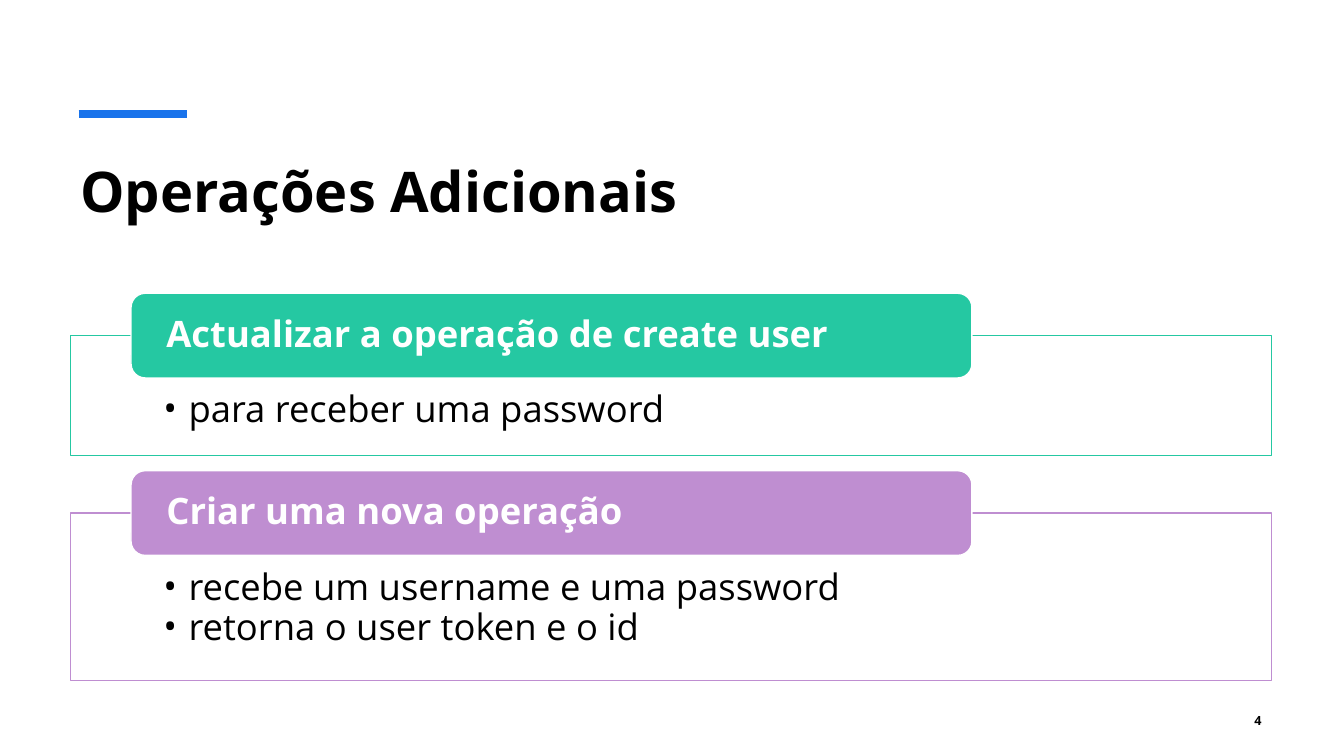
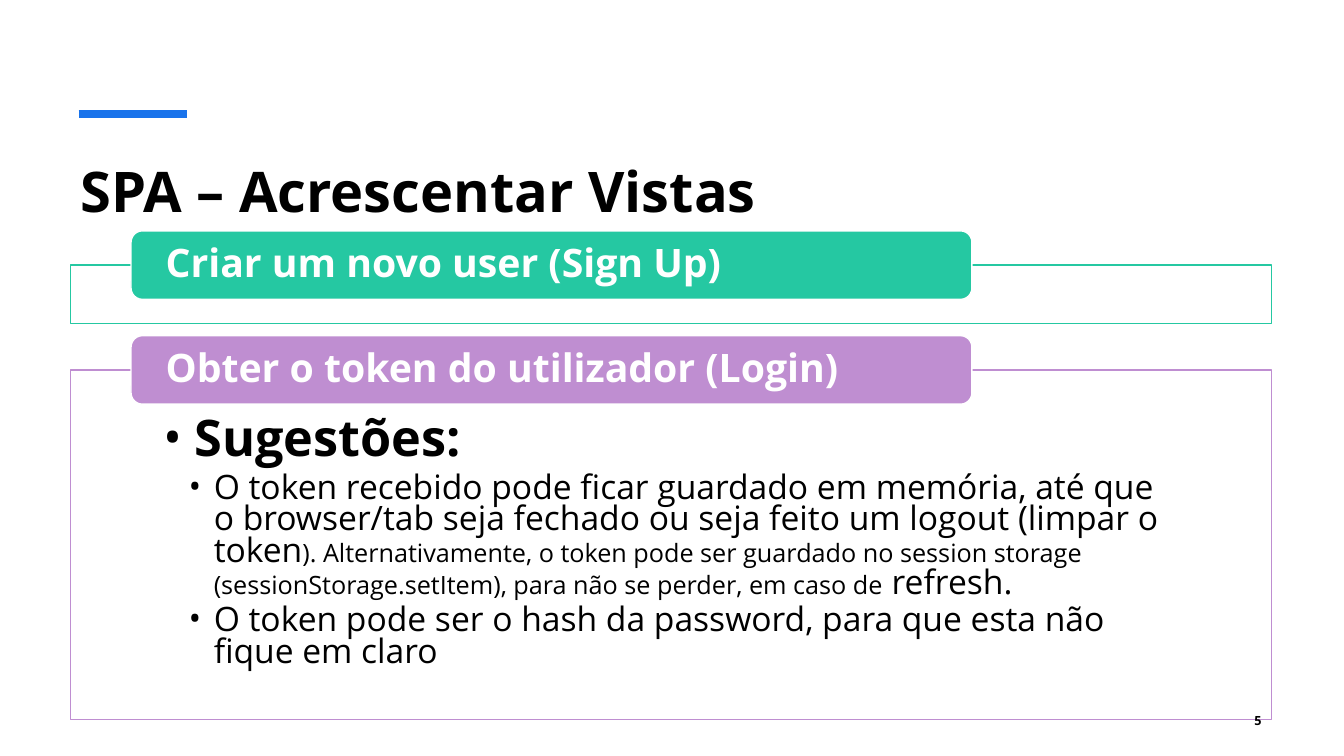
from pptx import Presentation
from pptx.dml.color import RGBColor
from pptx.enum.shapes import MSO_CONNECTOR as Connector, MSO_SHAPE as Preset
from pptx.enum.text import MSO_ANCHOR as Anchor, PP_ALIGN as Align
from pptx.oxml.ns import qn
from pptx.oxml.xmlchemy import OxmlElement
from pptx.util import Inches, Pt

FONT = "Open Sans"
COLOURS = {
    "accent": "1973EB",
    "green": "25C8A2",
    "purple": "BF8ED1",
    "text": "000000",
    "white": "FFFFFF",
}
MARGIN, CONTENT_WIDTH = 0.7, 11.91
HEADER_LEFT, HEADER_WIDTH = 1.3, 8.34
HEADER_SPACING, BULLET_SPACING = 0.9, 0.79


def colour(name):
    return RGBColor.from_string(COLOURS[name])


# Text helpers
def set_frame(shape, insets, anchor=Anchor.TOP):
    frame = shape.text_frame
    frame.word_wrap = True
    frame.vertical_anchor = anchor
    (frame.margin_left, frame.margin_top,
     frame.margin_right, frame.margin_bottom) = map(Inches, insets)
    return frame


def add_run(paragraph, text, size, bold=False, colour_name="text"):
    run = paragraph.add_run()
    run.text = text
    run.font.name = FONT
    run.font.size = Pt(size)
    run.font.bold = bold
    run.font.color.rgb = colour(colour_name)
    return run


def add_text_box(slide, left, top, width, height, anchor=Anchor.TOP):
    box = slide.shapes.add_textbox(*map(Inches, (left, top, width, height)))
    return set_frame(box, (0.1, 0.05, 0.1, 0.05), anchor).paragraphs[0]


def add_bullet(paragraph, level, indent, hanging, runs):
    paragraph.level = level
    paragraph.alignment = Align.LEFT
    paragraph.line_spacing = BULLET_SPACING
    paragraph.space_after = Pt(0.15 * runs[0][1])
    properties = paragraph._p.get_or_add_pPr()
    properties.set("marL", str(Inches(indent)))
    properties.set("indent", str(-Inches(hanging)))
    for tag, attribute, value in (("a:buFont", "typeface", FONT),
                                  ("a:buChar", "char", "•")):
        element = OxmlElement(tag)
        element.set(attribute, value)
        properties.append(element)
    for run in runs:
        add_run(paragraph, *run)


# Parts shared by all slides
def add_slide(presentation, title):
    slide = presentation.slides.add_slide(presentation.slide_layouts[6])

    accent = slide.shapes.add_connector(
        Connector.STRAIGHT, Inches(0.78), Inches(1.13), Inches(1.85), Inches(1.13))
    accent.line.color.rgb = colour("accent")
    accent.line.width = Pt(6)
    accent._element.spPr.append(OxmlElement("a:effectLst"))

    paragraph = add_text_box(slide, MARGIN, 1.5, CONTENT_WIDTH, 1.2)
    add_run(paragraph, title, 40, bold=True)
    return slide


def add_slide_number(slide, number):
    paragraph = add_text_box(slide, 11.82, 6.95, 0.79, 0.4, Anchor.MIDDLE)
    paragraph.alignment = Align.RIGHT
    run = add_run(paragraph, str(number), 9, bold=True)
    run._r.get_or_add_rPr().set("spc", "300")


# Framed panels with a header on the top edge
def add_block(slide, preset, box, fill_name, line_name):
    shape = slide.shapes.add_shape(preset, *map(Inches, box))
    shape.shadow.inherit = False
    shape.fill.solid()
    shape.fill.fore_color.rgb = colour(fill_name)
    shape.line.color.rgb = colour(line_name)
    shape.line.width = Pt(1)
    return shape


def add_panel(slide, top, height, colour_name, bullets, top_inset):
    panel = add_block(slide, Preset.RECTANGLE,
                      (MARGIN, top, CONTENT_WIDTH, height), "white", colour_name)
    alpha = OxmlElement("a:alpha")
    alpha.set("val", "90000")
    panel._element.spPr.find(qn("a:solidFill")).find(qn("a:srgbClr")).append(alpha)
    frame = set_frame(panel, (0.92, top_inset, 0.92, 0.2))
    for index, bullet in enumerate(bullets):
        paragraph = frame.add_paragraph() if index else frame.paragraphs[0]
        add_bullet(paragraph, *bullet)


def add_header(slide, top, height, colour_name, text, size):
    header = add_block(slide, Preset.ROUNDED_RECTANGLE,
                       (HEADER_LEFT, top, HEADER_WIDTH, height), colour_name, "white")
    frame = set_frame(header, (0.31, 0, 0.31, 0), Anchor.MIDDLE)
    paragraph = frame.paragraphs[0]
    paragraph.alignment = Align.LEFT
    paragraph.line_spacing = HEADER_SPACING
    add_run(paragraph, text, size, True, "white")


def add_panels(slide, top, gap, header_height, header_size, top_inset, panels):
    for colour_name, header, height, bullets in panels:
        panel_top = top + header_height / 2
        add_panel(slide, panel_top, height, colour_name, bullets, top_inset)
        add_header(slide, top, header_height, colour_name, header, header_size)
        top = panel_top + height + gap


# Slides
def add_operations_slide(presentation):
    def item(text):
        return 1, 0.25, 0.25, [(text, 26)]

    slide = add_slide(presentation, "Operações Adicionais")
    add_panels(slide, 2.91, 0.15, 0.84, 26, 0.59, [
        ("green", "Actualizar a operação de create user", 1.19,
         [item("para receber uma password")]),
        ("purple", "Criar uma nova operação", 1.66,
         [item("recebe um username e uma password"),
          item("retorna o user token e o id")]),
    ])
    add_slide_number(slide, 4)


def add_views_slide(presentation):
    def suggestion(*runs):
        return 2, 0.5, 0.25, runs

    slide = add_slide(presentation, "SPA – Acrescentar Vistas")
    add_panels(slide, 2.29, 0.12, 0.68, 28, 0.48, [
        ("green", "Criar um novo user (Sign Up)", 0.58, []),
        ("purple", "Obter o token do utilizador (Login)", 3.47, [
            (1, 0.31, 0.31, [("Sugestões:", 36, True)]),
            suggestion(
                ("O token recebido pode ficar guardado em memória, até que o browser/tab "
                 "seja fechado ou seja feito um logout (limpar o token", 24),
                ("). Alternativamente, o token pode ser guardado no session storage "
                 "(sessionStorage.setItem), para não se perder, em caso de", 18),
                (" refresh.", 24)),
            suggestion(("O token pode ser o hash da password, para que esta não "
                        "fique em claro", 24)),
        ]),
    ])
    add_slide_number(slide, 5)


def main():
    presentation = Presentation()
    presentation.slide_width = Inches(13.33)
    presentation.slide_height = Inches(7.5)
    add_operations_slide(presentation)
    add_views_slide(presentation)
    presentation.save("out.pptx")


if __name__ == "__main__":
    main()
